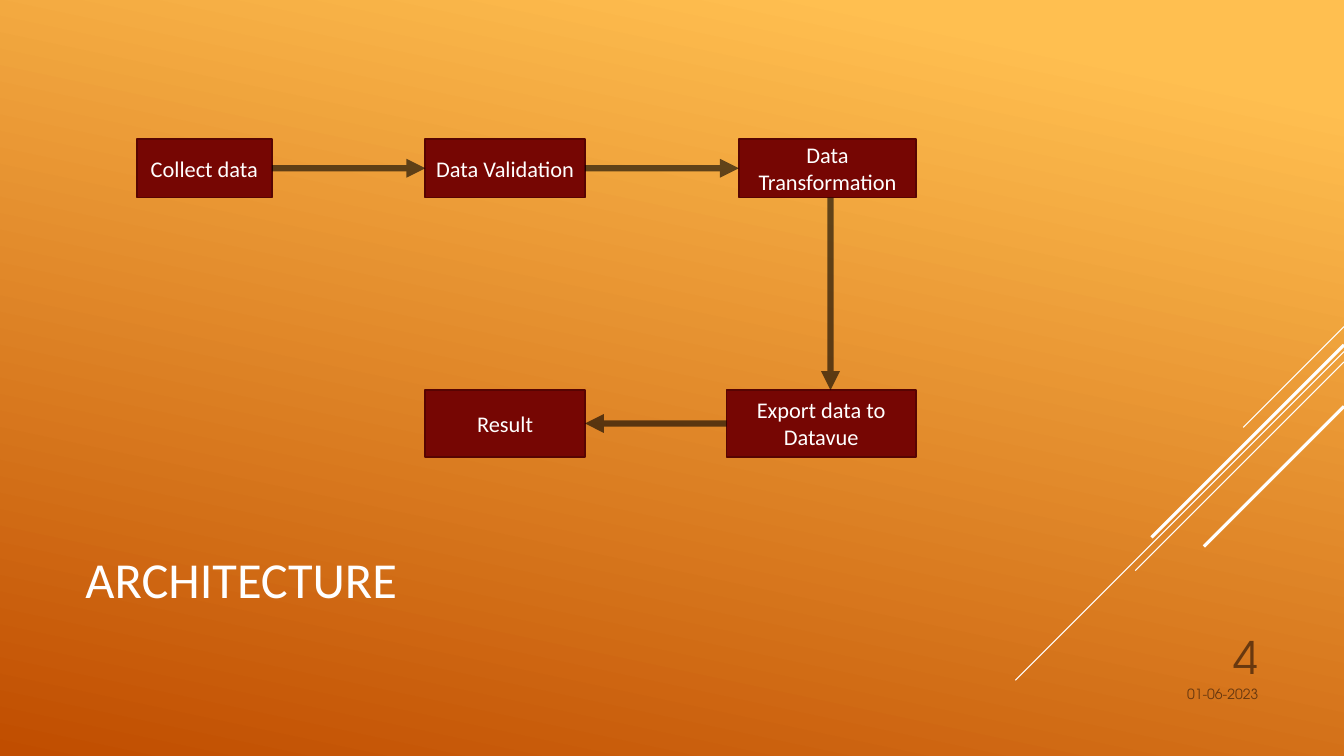
from lxml.etree import SubElement
from pptx import Presentation
from pptx.dml.color import RGBColor
from pptx.enum.shapes import MSO_CONNECTOR, MSO_SHAPE
from pptx.enum.text import MSO_ANCHOR, MSO_AUTO_SIZE, PP_ALIGN
from pptx.oxml.ns import qn
from pptx.util import Cm, Pt

COLORS = {
    "glow": "FFBF50", "ember": "C04D00", "white": "FFFFFF", "black": "000000",
    "box": "760603", "box_edge": "570402", "footer": "68380F",
}
BODY_FONT = "Calibri"
FOOTER_FONT = "TeX Gyre Adventor"
WIDTH, HEIGHT = 33.87, 19.05


def rgb(name):
    """Return the palette colour with this name."""
    return RGBColor.from_string(COLORS[name])


def write(frame, text, size=16, font=BODY_FONT, color="white",
          align=PP_ALIGN.CENTER, anchor=MSO_ANCHOR.MIDDLE):
    """Fill a text frame with one formatted paragraph."""
    frame.word_wrap = True
    frame.auto_size = MSO_AUTO_SIZE.NONE
    frame.vertical_anchor = anchor
    paragraph = frame.paragraphs[0]
    paragraph.alignment = align
    run = paragraph.add_run()
    run.text = text
    run.font.size = Pt(size)
    run.font.name = font
    run.font.color.rgb = rgb(color)


class Deck:
    """Hold the presentation style and the current slide."""

    def __init__(self):
        """Start a widescreen deck with one title-only slide."""
        self.presentation = Presentation()
        self.presentation.slide_width = Cm(WIDTH)
        self.presentation.slide_height = Cm(HEIGHT)
        layout = self.presentation.slide_layouts[5]
        self.slide = self.presentation.slides.add_slide(layout)

    def background(self, start, end, angle):
        """Paint a linear gradient at a clockwise angle."""
        fill = self.slide.background.fill
        fill.gradient()
        fill.gradient_angle = 360 - angle
        for stop, color, position in zip(fill.gradient_stops, (start, end), (0.1, 1)):
            stop.color.rgb = rgb(color)
            stop.position = position

    def title(self, text, left, top, width, height):
        """Place and format the title placeholder."""
        heading = self.slide.shapes.title
        heading.left, heading.top = Cm(left), Cm(top)
        heading.width, heading.height = Cm(width), Cm(height)
        write(heading.text_frame, text, size=36, align=PP_ALIGN.LEFT)

    def footer(self, text, left, top, width, height, size, anchor):
        """Add right-aligned footer text."""
        label = self.slide.shapes.add_textbox(Cm(left), Cm(top), Cm(width), Cm(height))
        write(label.text_frame, text, size=size, font=FOOTER_FONT,
              color="footer", align=PP_ALIGN.RIGHT, anchor=anchor)

    def box(self, text, left, top, width, height):
        """Add one step of the flow."""
        step = self.slide.shapes.add_shape(
            MSO_SHAPE.RECTANGLE, Cm(left), Cm(top), Cm(width), Cm(height))
        step.shadow.inherit = False
        step.fill.solid()
        step.fill.fore_color.rgb = rgb("box")
        step.line.color.rgb = rgb("box_edge")
        step.line.width = Pt(1.25)
        write(step.text_frame, text)

    def line(self, start, end, color="white", weight=0.75):
        """Add a straight line without a shadow."""
        stroke = self.slide.shapes.add_connector(
            MSO_CONNECTOR.STRAIGHT, *map(Cm, start + end))
        stroke.line.color.rgb = rgb(color)
        stroke.line.width = Pt(weight)
        SubElement(stroke._element.spPr, qn("a:effectLst"))
        return stroke

    def arrow(self, start, end):
        """Add a translucent flow arrow pointing at its end."""
        outline = self.line(start, end, "black", 4.5).line._get_or_add_ln()
        tint = outline.find(".//" + qn("a:srgbClr"))
        SubElement(tint, qn("a:alpha"), val="60000")
        SubElement(outline, qn("a:tailEnd"), type="triangle")


deck = Deck()
deck.background("glow", "ember", 102)

# Diagonal rays at 45 degrees from the right edge: top, reach, weight
RAYS = [(8.23, 2.54, 0.75), (8.86, 8.28, 0.75), (9.12, 5.26, 0.75),
        (8.69, 4.85, 2.25), (10.24, 3.53, 2.25)]
for top, reach, weight in RAYS:
    deck.line((WIDTH, top), (WIDTH - reach, top + reach), weight=weight)

deck.title("ARCHITECTURE", 1.9, 12.47, 23.7, 4.19)
deck.footer("01-06-2023", 27.51, 17.15, 4.45, 1.02, 10, MSO_ANCHOR.TOP)
deck.footer("4", 28.78, 15.49, 3.18, 1.85, 32, MSO_ANCHOR.BOTTOM)

# Flow rows: top, height and steps as (text, left, width)
UPPER_TOP, UPPER_HEIGHT = 3.5, 1.48
LOWER_TOP, LOWER_HEIGHT = 9.83, 1.68
upper_steps = [("Collect data", 3.45, 3.4), ("Data Validation", 10.72, 4.02),
               ("Data Transformation", 18.62, 4.47)]
lower_steps = [("Export data to Datavue", 18.31, 4.77), ("Result", 10.72, 4.02)]
for steps, top, height in ((upper_steps, UPPER_TOP, UPPER_HEIGHT),
                           (lower_steps, LOWER_TOP, LOWER_HEIGHT)):
    for text, left, width in steps:
        deck.box(text, left, top, width, height)

upper_middle = UPPER_TOP + UPPER_HEIGHT / 2
lower_middle = LOWER_TOP + LOWER_HEIGHT / 2
for (_, left, width), (_, next_left, _) in zip(upper_steps, upper_steps[1:]):
    deck.arrow((left + width, upper_middle), (next_left, upper_middle))
deck.arrow((20.93, UPPER_TOP + UPPER_HEIGHT), (20.93, LOWER_TOP))
(_, export_left, _), (_, result_left, result_width) = lower_steps
deck.arrow((export_left, lower_middle), (result_left + result_width, lower_middle))

deck.presentation.save("out.pptx")
